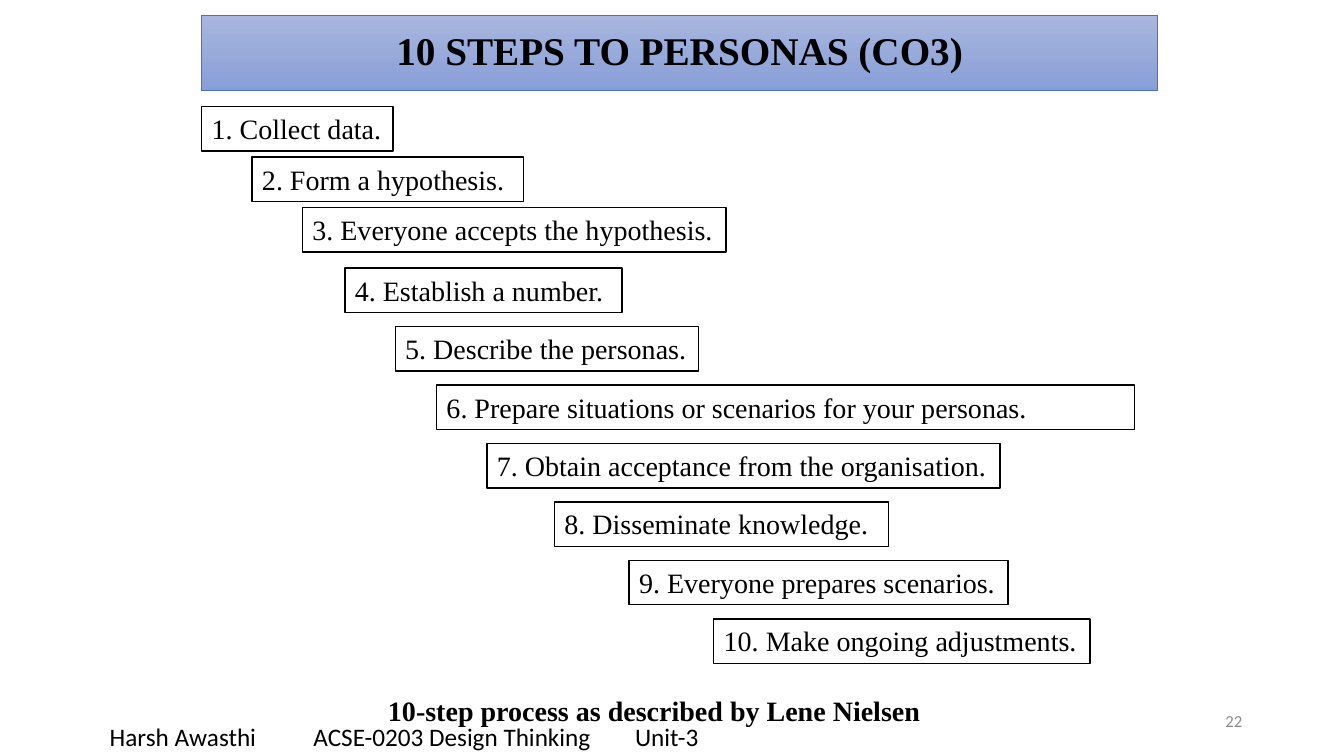
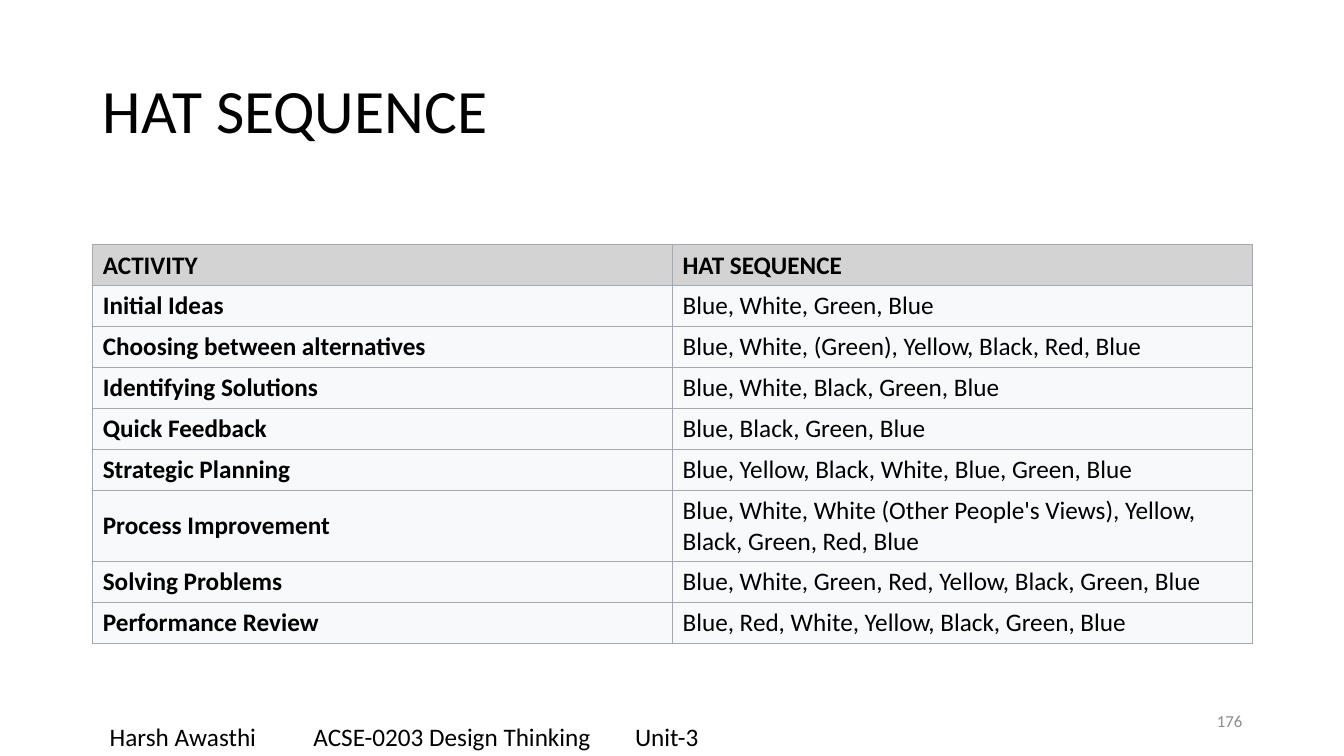
from lxml import etree
from pptx import Presentation
from pptx import util as u
from pptx.dml import color
from pptx.enum import shapes, text
from pptx.oxml import ns

BLACK, GREY, WHITE = "000000", "8C8C8C", "FFFFFF"
BAND_TOP, BAND_BOTTOM, BAND_LINE = "A8B7DF", "889ED7", "4472C4"
HEADER_FILL, ROW_FILL, BORDER = "D3D3D3", "F8F9FA", "A2A9B1"
SERIF, SANS = "Times New Roman", "Calibri"

TITLE = {"name": SANS, "size": u.Pt(44), "bold": False}
BAND_TITLE = {"name": SERIF, "size": u.Pt(28), "bold": True}
STEP = {"name": SERIF, "size": u.Pt(20), "bold": False}
CAPTION = {**STEP, "bold": True}
CELL = {"name": SANS, "size": u.Pt(18), "bold": False}
BOLD_CELL = {**CELL, "bold": True}
NUMBER = {"name": SANS, "size": u.Pt(12), "bold": False}

FOOTER = "Harsh Awasthi\tACSE-0203 Design Thinking\tUnit-3"
FOOTER_TABS = (2.02, 5.21)

STEPS = [
    ("Collect data.", 2, 1.9),
    ("Form a hypothesis.", 2.5, 2.69),
    ("Everyone accepts the hypothesis.", 3, 4.2),
    ("Establish a number.", 3.42, 2.75),
    ("Describe the personas.", 3.92, 3.01),
    ("Prepare situations or scenarios for your personas.", 4.33, 6.92),
    ("Obtain acceptance from the organisation.", 4.83, 5.09),
    ("Disseminate knowledge.", 5.5, 3.31),
    ("Everyone prepares scenarios.", 6.24, 3.76),
    ("Make ongoing adjustments.", 7.08, 3.73),
]

HATS = [
    ("ACTIVITY", "HAT SEQUENCE"),
    ("Initial Ideas", "Blue, White, Green, Blue"),
    ("Choosing between alternatives", "Blue, White, (Green), Yellow, Black, Red, Blue"),
    ("Identifying Solutions", "Blue, White, Black, Green, Blue"),
    ("Quick Feedback", "Blue, Black, Green, Blue"),
    ("Strategic Planning", "Blue, Yellow, Black, White, Blue, Green, Blue"),
    ("Process Improvement",
     "Blue, White, White (Other People's Views), Yellow, Black, Green, Red, Blue"),
    ("Solving Problems", "Blue, White, Green, Red, Yellow, Black, Green, Blue"),
    ("Performance Review", "Blue, Red, White, Yellow, Black, Green, Blue"),
]
TALL_ROW = 6


def rgb(value):
    return color.RGBColor.from_string(value)


def inches(*lengths):
    return [u.Inches(length) for length in lengths]


def write(frame, words, style, ink=BLACK, align=text.PP_ALIGN.LEFT,
          anchor=text.MSO_ANCHOR.TOP):
    frame.word_wrap = True
    frame.vertical_anchor = anchor
    paragraph = frame.paragraphs[0]
    paragraph.alignment = align
    run = paragraph.add_run()
    run.text = words
    for name, value in style.items():
        setattr(run.font, name, value)
    run.font.color.rgb = rgb(ink)
    return paragraph


def add_text(slide, place, words, style, **options):
    box = slide.shapes.add_textbox(*inches(*place))
    return write(box.text_frame, words, style, **options)


def add_title(slide, place, words, style, align):
    title = slide.shapes.title
    title.left, title.top, title.width, title.height = inches(*place)
    title.text_frame.auto_size = text.MSO_AUTO_SIZE.NONE
    paragraph = write(title.text_frame, words, style, align=align,
                      anchor=text.MSO_ANCHOR.MIDDLE)
    paragraph.line_spacing = 0.9
    return title


def add_band(title):
    title.fill.gradient()
    title.fill.gradient_angle = 270
    for stop, value in zip(title.fill.gradient_stops, (BAND_TOP, BAND_BOTTOM)):
        stop.color.rgb = rgb(value)
    title.line.color.rgb = rgb(BAND_LINE)
    title.line.width = u.Pt(0.5)


def add_step(slide, place, words):
    box = slide.shapes.add_shape(shapes.MSO_SHAPE.RECTANGLE, *inches(*place))
    box.shadow.inherit = False
    box.fill.solid()
    box.fill.fore_color.rgb = rgb(WHITE)
    box.line.color.rgb = rgb(BLACK)
    box.line.width = u.Pt(1)
    box.text_frame.margin_right = 0
    write(box.text_frame, words, STEP)


def add_footer(slide, number):
    paragraph = add_text(slide, (0.99, 7.11, 10.7, 0.4), FOOTER, CELL)
    properties = paragraph._p.get_or_add_pPr()
    tabs = etree.SubElement(properties, ns.qn("a:tabLst"))
    for position in FOOTER_TABS:
        etree.SubElement(tabs, ns.qn("a:tab"), pos=str(u.Inches(position)), algn="l")
    add_text(slide, (9.42, 6.95, 3, 0.4), str(number), NUMBER, ink=GREY,
             align=text.PP_ALIGN.RIGHT, anchor=text.MSO_ANCHOR.MIDDLE)


def add_borders(cell):
    properties = cell._tc.get_or_add_tcPr()
    for side in ("lnL", "lnR", "lnT", "lnB"):
        line = etree.SubElement(properties, ns.qn("a:" + side), w=str(u.Pt(0.75)))
        fill = etree.SubElement(line, ns.qn("a:solidFill"))
        etree.SubElement(fill, ns.qn("a:srgbClr"), val=BORDER)


def add_table(slide, place, rows):
    table = slide.shapes.add_table(len(rows), len(rows[0]), *inches(*place)).table
    for row_index, row in enumerate(rows):
        table.rows[row_index].height = u.Inches(0.7 if row_index == TALL_ROW else 0.4)
        for column_index, words in enumerate(row):
            cell = table.cell(row_index, column_index)
            is_header = row_index == 0
            add_borders(cell)
            cell.fill.solid()
            cell.fill.fore_color.rgb = rgb(HEADER_FILL if is_header else ROW_FILL)
            style = BOLD_CELL if is_header or column_index == 0 else CELL
            write(cell.text_frame, words, style)
            cell.vertical_anchor = text.MSO_ANCHOR.MIDDLE


def add_slide(presentation):
    return presentation.slides.add_slide(presentation.slide_layouts[5])


def build_personas(presentation):
    slide = add_slide(presentation)
    add_band(add_title(slide, (2, 0.15, 9.48, 0.75), "10 STEPS TO PERSONAS (CO3)",
                       BAND_TITLE, text.PP_ALIGN.CENTER))
    for index, (words, left, width) in enumerate(STEPS):
        top = 1.06 + 0.5 * index if index < 3 else 2.66 + 0.58 * (index - 3)
        add_step(slide, (left, top, width, 0.44), f"{index + 1}. {words}")
    add_text(slide, (3.75, 6.83, 5.83, 0.44),
             "10-step process as described by Lene Nielsen", CAPTION)
    add_footer(slide, 22)


def build_hats(presentation):
    slide = add_slide(presentation)
    add_title(slide, (0.92, 0.4, 11.5, 1.45), "HAT SEQUENCE", TITLE, text.PP_ALIGN.LEFT)
    add_table(slide, (0.92, 2.43, 11.5, 3.9), HATS)
    add_footer(slide, 176)


def main():
    presentation = Presentation()
    presentation.slide_width, presentation.slide_height = inches(13.33, 7.5)
    build_personas(presentation)
    build_hats(presentation)
    presentation.save("out.pptx")


if __name__ == "__main__":
    main()
